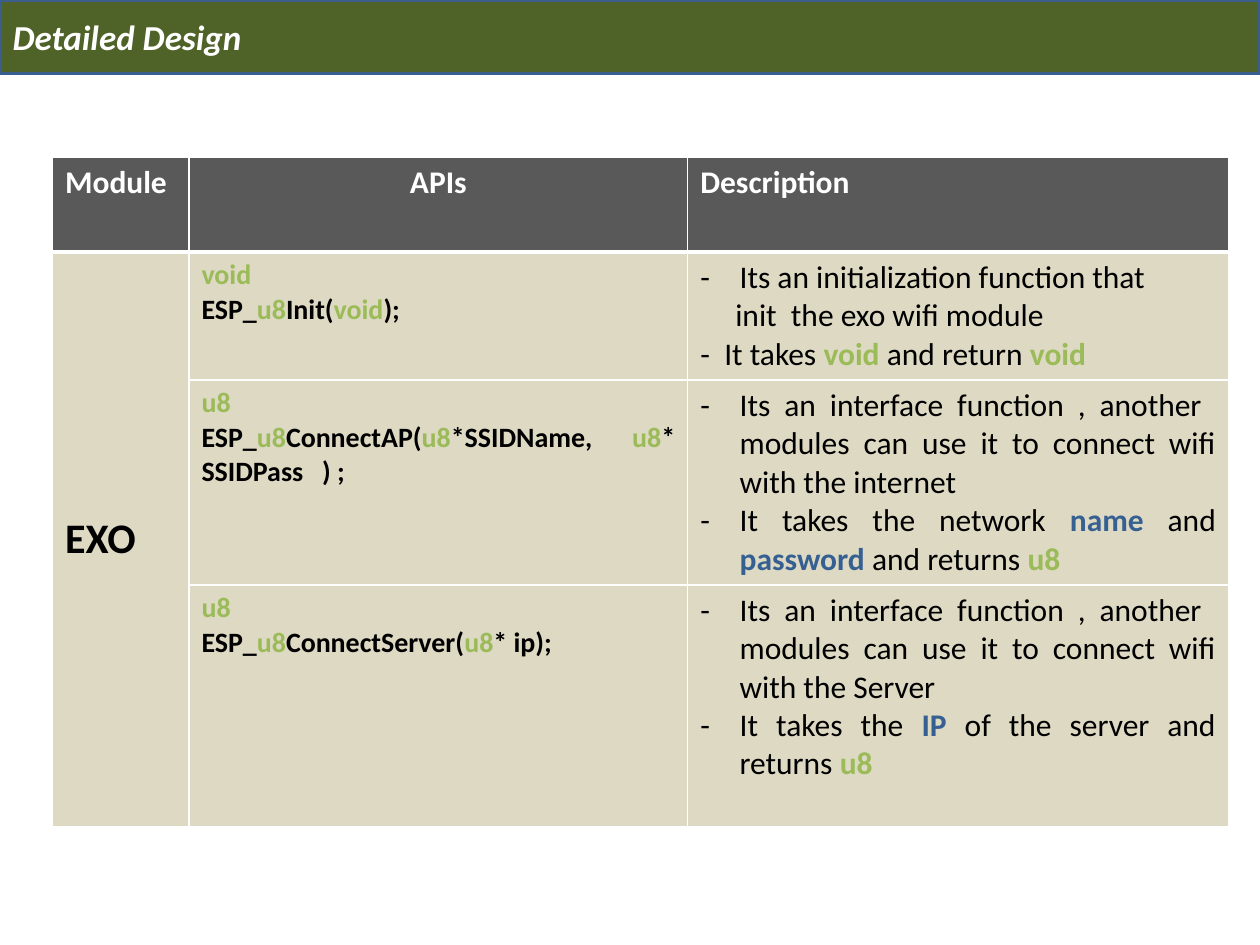
from lxml import etree
from pptx import Presentation
from pptx.dml.color import RGBColor
from pptx.enum.text import MSO_ANCHOR, PP_ALIGN
from pptx.oxml.ns import qn
from pptx.util import Pt

LEFT, CENTER, JUSTIFY = PP_ALIGN.LEFT, PP_ALIGN.CENTER, PP_ALIGN.JUSTIFY
MIDDLE = MSO_ANCHOR.MIDDLE

FONT = "Calibri"
OLIVE = RGBColor(0x4F, 0x62, 0x28)
NAVY = RGBColor(0x3A, 0x5F, 0x8C)
GREY = RGBColor(0x59, 0x59, 0x59)
SAND = RGBColor(0xDD, 0xD9, 0xC3)
GREEN = RGBColor(0x9B, 0xBB, 0x59)
BLUE = RGBColor(0x37, 0x60, 0x92)
BLACK = RGBColor(0, 0, 0)
WHITE = RGBColor(0xFF, 0xFF, 0xFF)

# Each description line: left margin, hanging indent, bullet, spans
HANGING = (22.5, -22.5, True)
API_ROWS = [
    (
        [("ESP_", BLACK), ("u8", GREEN), ("Init(", BLACK), ("void", GREEN), (");", BLACK)],
        "void",
        [
            (HANGING, [("Its an initialization function that", BLACK)]),
            ((20, 0, False), [("init  the exo wifi module", BLACK)]),
            ((13.7, -13.7, True), [("It takes ", BLACK), ("void", GREEN),
                                   (" and return ", BLACK), ("void", GREEN)]),
        ],
    ),
    (
        [("ESP_", BLACK), ("u8", GREEN), ("ConnectAP(", BLACK), ("u8", GREEN),
         ("*SSIDName, ", BLACK), ("u8", GREEN), ("* SSIDPass   ) ;", BLACK)],
        "u8",
        [
            (HANGING, [("Its an interface function , another  modules can use it "
                        "to connect wifi with the internet", BLACK)]),
            (HANGING, [("It takes the network ", BLACK), ("name", BLUE), (" and ", BLACK),
                       ("password", BLUE), (" and returns ", BLACK), ("u8", GREEN)]),
        ],
    ),
    (
        [("ESP_", BLACK), ("u8", GREEN), ("ConnectServer(", BLACK), ("u8", GREEN),
         ("* ip);", BLACK)],
        "u8",
        [
            (HANGING, [("Its an interface function , another  modules can use it "
                        "to connect wifi with the Server", BLACK)]),
            (HANGING, [("It takes the ", BLACK), ("IP", BLUE),
                       (" of the server and returns ", BLACK), ("u8", GREEN)]),
        ],
    ),
]


def write_line(para, spans, size, align, all_bold=True):
    """Fill a paragraph with coloured spans; coloured words are always bold."""
    para.alignment = align
    para.font.name = FONT
    para.font.size = Pt(size)
    for text, color in spans:
        span = para.add_run()
        span.text = text
        span.font.color.rgb = color
        span.font.bold = all_bold or color != BLACK


def set_indent(para, margin, indent, bulleted):
    properties = para._p.get_or_add_pPr()
    properties.set("marL", str(Pt(margin)))
    properties.set("indent", str(Pt(indent)))
    if bulleted:
        etree.SubElement(properties, qn("a:buFont")).set("typeface", FONT)
        etree.SubElement(properties, qn("a:buChar")).set("char", "-")


deck = Presentation()
deck.slide_width, deck.slide_height = Pt(720), Pt(540)
page = deck.slides.add_slide(deck.slide_layouts[5])

# Title bar
title = page.shapes.title
title.left, title.top, title.width, title.height = Pt(0), Pt(0), Pt(720), Pt(42)
title.fill.solid()
title.fill.fore_color.rgb = OLIVE
title.line.color.rgb = NAVY
title.line.width = Pt(2)
title.text_frame.vertical_anchor = MIDDLE
title_para = title.text_frame.paragraphs[0]
write_line(title_para, [("Detailed Design", WHITE)], 20, LEFT)
title_para.font.italic = True

# Table grid
column_widths = [78, 285, 309]
row_heights = [54, 73, 117, 138.5]
table = page.shapes.add_table(
    len(row_heights), len(column_widths),
    Pt(30), Pt(90), Pt(sum(column_widths)), Pt(sum(row_heights))).table
table.horz_banding = False
for column, width in zip(table.columns, column_widths):
    column.width = Pt(width)
for row_number, (row, height) in enumerate(zip(table.rows, row_heights)):
    row.height = Pt(height)
    for cell in row.cells:
        cell.fill.solid()
        cell.fill.fore_color.rgb = SAND if row_number else GREY

# Header row with a thick rule below
headers = [("Module", LEFT), ("APIs", CENTER), ("Description", LEFT)]
for column_number, (heading, align) in enumerate(headers):
    cell = table.cell(0, column_number)
    write_line(cell.text_frame.paragraphs[0], [(heading, WHITE)], 18, align)
    rule = etree.Element(qn("a:lnB"), w=str(Pt(3)))
    rule_fill = etree.SubElement(rule, qn("a:solidFill"))
    etree.SubElement(rule_fill, qn("a:srgbClr")).set("val", str(WHITE))
    cell._tc.get_or_add_tcPr().insert(0, rule)

# Module name across all function rows
module = table.cell(1, 0)
module.merge(table.cell(3, 0))
module.vertical_anchor = MIDDLE
write_line(module.text_frame.paragraphs[0], [("EXO", BLACK)], 24, LEFT)

# Functions and their descriptions
for row_number, (signature, return_type, description) in enumerate(API_ROWS, 1):
    code = table.cell(row_number, 1).text_frame
    write_line(code.paragraphs[0], [(return_type, GREEN)], 16, JUSTIFY)
    write_line(code.add_paragraph(), signature, 16, JUSTIFY)

    notes = table.cell(row_number, 2).text_frame
    for line_number, (layout, spans) in enumerate(description):
        para = notes.add_paragraph() if line_number else notes.paragraphs[0]
        set_indent(para, *layout)
        write_line(para, spans, 18, JUSTIFY, all_bold=False)

deck.save("out.pptx")
